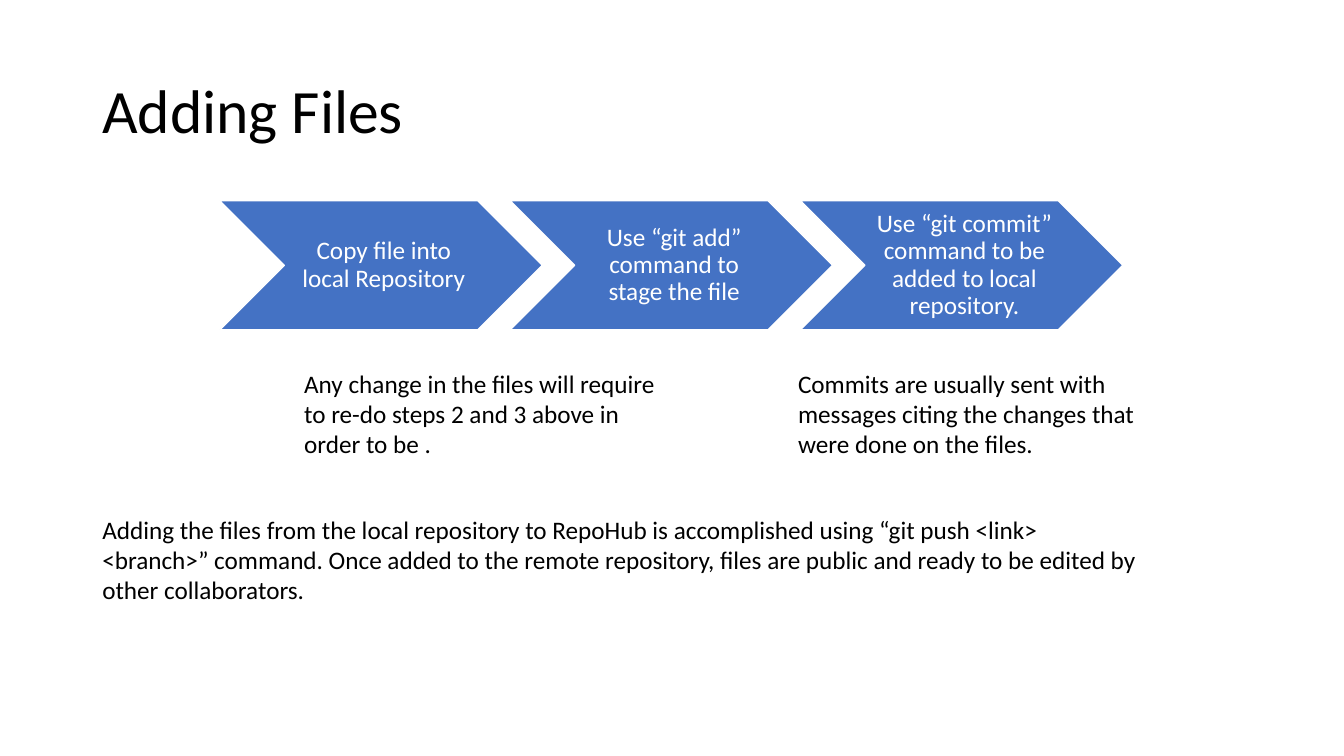
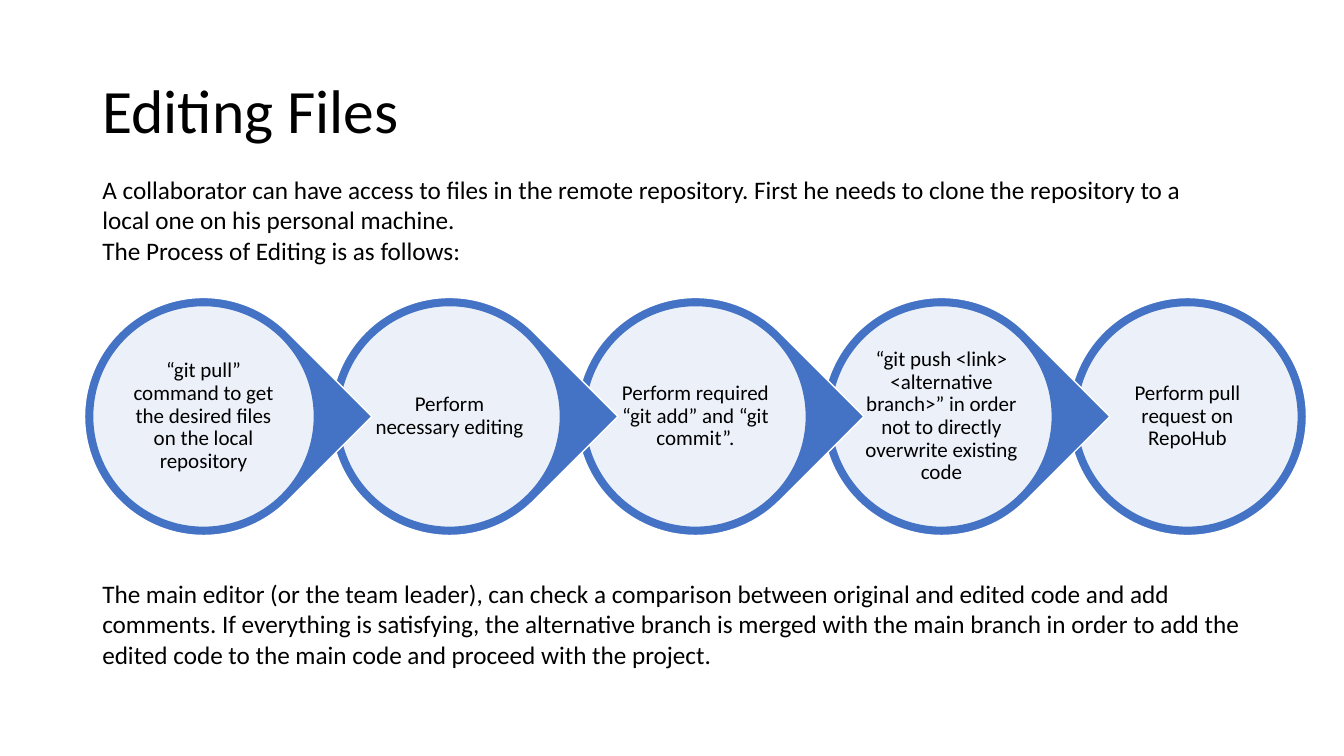
import dataclasses

import pptx
import pptx.dml.color
import pptx.enum.shapes
import pptx.enum.text
import pptx.oxml.ns
import pptx.util
from lxml import etree

Pt = pptx.util.Pt
RGBColor = pptx.dml.color.RGBColor
Shape = pptx.enum.shapes.MSO_SHAPE
Align = pptx.enum.text.PP_ALIGN
Anchor = pptx.enum.text.MSO_ANCHOR


@dataclasses.dataclass(frozen=True)
class Theme:
    font: str = "Calibri"
    blue: RGBColor = RGBColor(0x44, 0x72, 0xC4)
    white: RGBColor = RGBColor(0xFF, 0xFF, 0xFF)
    black: RGBColor = RGBColor(0x00, 0x00, 0x00)
    title_size: int = 44
    body_size: int = 18
    circle_size: int = 15
    line_width: int = 1
    tight_spacing: float = 0.9
    margin: int = 66


theme = Theme()


def write_text(shape, paragraphs, size, color=theme.black, align=Align.LEFT,
               anchor=Anchor.TOP, spacing=1.0, insets=(7.2, 3.6, 7.2, 3.6)):
    """Fill a shape with paragraphs; insets are left, top, right, bottom."""
    frame = shape.text_frame
    frame.word_wrap = True
    frame.vertical_anchor = anchor
    frame.margin_left, frame.margin_top, frame.margin_right, frame.margin_bottom = map(Pt, insets)
    for index, text in enumerate(paragraphs):
        paragraph = frame.add_paragraph() if index else frame.paragraphs[0]
        paragraph.alignment = align
        paragraph.line_spacing = spacing
        run = paragraph.add_run()
        run.text = text
        run.font.name = theme.font
        run.font.size = Pt(size)
        run.font.color.rgb = color


def add_block(slide, kind, left, top, width, height, fill, line):
    shape = slide.shapes.add_shape(kind, Pt(left), Pt(top), Pt(width), Pt(height))
    shape.shadow.inherit = False
    shape.fill.solid()
    shape.fill.fore_color.rgb = fill
    shape.line.color.rgb = line
    shape.line.width = Pt(theme.line_width)
    return shape


presentation = pptx.Presentation()
presentation.slide_width = Pt(960)
presentation.slide_height = Pt(540)

# Title and body texts: (left, top, width, paragraphs)
pages = [
    ("Adding Files", [
        (210.2, 259.2, 269.3, ["Any change in the files will require to re-do steps 2 and 3 above in order to be ."]),
        (563, 259.2, 269.3, ["Commits are usually sent with messages citing the changes that were done on the files."]),
        (theme.margin, 363.5, 753.8, [
            "Adding the files from the local repository to RepoHub is accomplished using "
            "“git push <link> <branch>” command. Once added to the remote repository, files "
            "are public and ready to be edited by other collaborators."]),
    ]),
    ("Editing Files", [
        (theme.margin, 121, 818, [
            "A collaborator can have access to files in the remote repository. First he needs "
            "to clone the repository to a local one on his personal machine.",
            "The Process of Editing is as follows:"]),
        (theme.margin, 409.7, 828, [
            "The main editor (or the team leader), can check a comparison between original and "
            "edited code and add comments. If everything is satisfying, the alternative branch "
            "is merged with the main branch in order to add the edited code to the main code "
            "and proceed with the project."]),
    ]),
]
slides = []
for title, texts in pages:
    slide = presentation.slides.add_slide(presentation.slide_layouts[6])
    slides.append(slide)
    title_box = slide.shapes.add_textbox(Pt(theme.margin), Pt(28.75), Pt(828), Pt(104.4))
    write_text(title_box, [title], theme.title_size, anchor=Anchor.MIDDLE,
               spacing=theme.tight_spacing)
    for left, top, width, paragraphs in texts:
        text_box = slide.shapes.add_textbox(Pt(left), Pt(top), Pt(width), Pt(72.7))
        write_text(text_box, paragraphs, theme.body_size)
        text_box.text_frame.auto_size = pptx.enum.text.MSO_AUTO_SIZE.SHAPE_TO_FIT_TEXT

adding_slide, editing_slide = slides

# Chevron steps, each overlapping the width of the one before by a tenth
chevron_left, chevron_top = 157, 143.4
chevron_width, chevron_height = 230.4, 92.2
adding_steps = [
    "Copy file into local Repository",
    "Use “git add” command to stage the file",
    "Use “git commit” command to be added to local repository.",
]
for index, step in enumerate(adding_steps):
    chevron = add_block(adding_slide, Shape.CHEVRON, chevron_left + index * chevron_width * 0.9,
                        chevron_top, chevron_width, chevron_height, theme.blue, theme.white)
    write_text(chevron, [step], theme.body_size, theme.white, Align.CENTER, Anchor.MIDDLE,
               theme.tight_spacing, (6, 2, 2, 2))

# Circle steps, drawn from right to left so that each drop points over the next ring
ring_left, ring_top, ring_size, ring_pitch = 60.4, 212.5, 170, 175.7
disc_size = 158.4
disc_offset = (ring_size - disc_size) / 2
editing_steps = [
    "“git pull” command to get the desired files on the local repository",
    "Perform necessary editing",
    "Perform required “git add” and “git commit”.",
    "“git push <link> <alternative branch>” in order not to directly overwrite existing code",
    "Perform pull request on RepoHub",
]
last = len(editing_steps) - 1
for index in range(last, -1, -1):
    left = ring_left + index * ring_pitch
    kind = Shape.OVAL if index == last else Shape.TEAR
    ring = add_block(editing_slide, kind, left, ring_top, ring_size, ring_size,
                     theme.blue, theme.white)
    if kind == Shape.TEAR:
        ring.rotation = 45
    disc = add_block(editing_slide, Shape.OVAL, left + disc_offset, ring_top + disc_offset,
                     disc_size, disc_size, theme.white, theme.blue)
    fill_color = disc.fill._xPr.find(pptx.oxml.ns.qn("a:solidFill"))[0]
    etree.SubElement(fill_color, pptx.oxml.ns.qn("a:alpha"), val="90000")
    write_text(disc, [editing_steps[index]], theme.circle_size, align=Align.CENTER,
               anchor=Anchor.MIDDLE, spacing=theme.tight_spacing, insets=(0, 0, 0, 0))

presentation.save("out.pptx")
